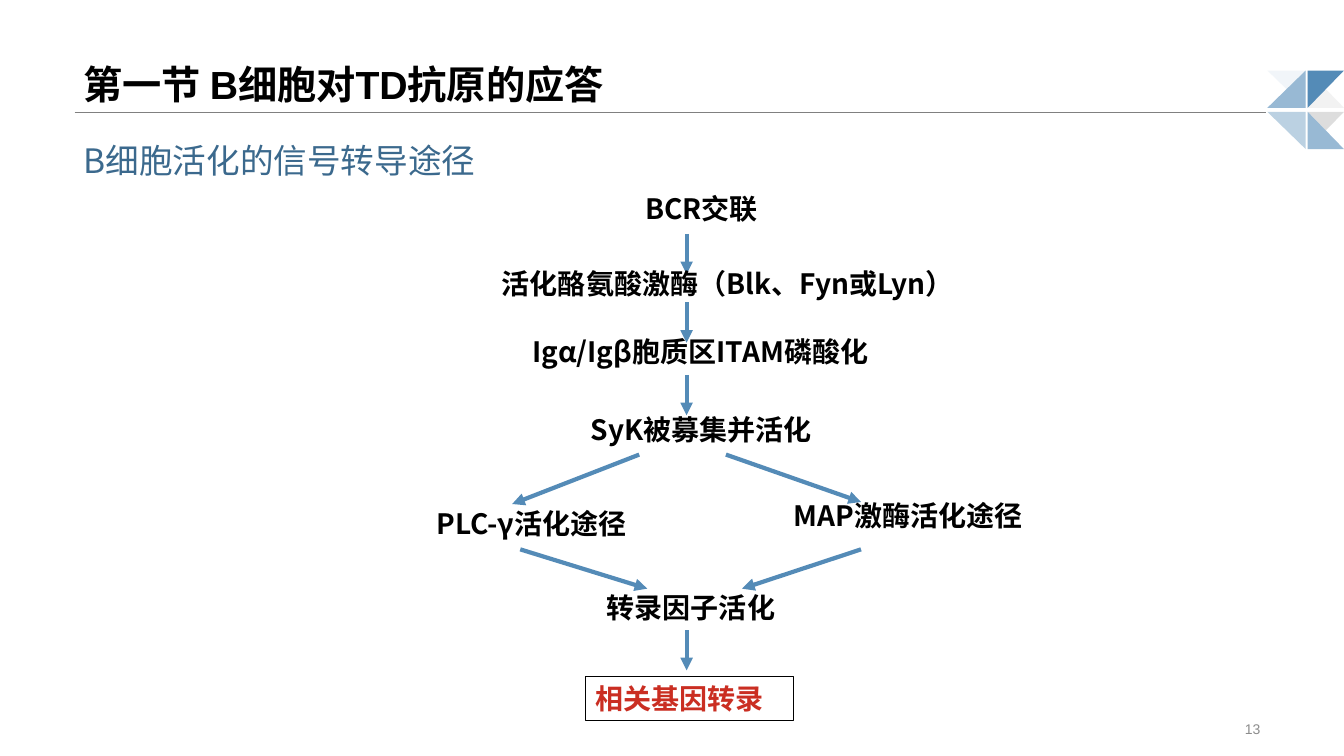
"""Build the slide on the signalling pathway of B cell activation."""
from typing import NamedTuple

from lxml import etree
from pptx import Presentation
from pptx.dml.color import RGBColor
from pptx.enum.shapes import MSO_CONNECTOR, MSO_SHAPE
from pptx.enum.text import MSO_ANCHOR, MSO_AUTO_SIZE, PP_ALIGN
from pptx.oxml.ns import qn
from pptx.util import Inches, Pt

STRAIGHT = MSO_CONNECTOR.STRAIGHT
RECTANGLE = MSO_SHAPE.RECTANGLE
TOP, MIDDLE, BOTTOM = MSO_ANCHOR.TOP, MSO_ANCHOR.MIDDLE, MSO_ANCHOR.BOTTOM
LEFT, RIGHT = PP_ALIGN.LEFT, PP_ALIGN.RIGHT
GROW, FIXED = MSO_AUTO_SIZE.SHAPE_TO_FIT_TEXT, MSO_AUTO_SIZE.NONE

SLIDE_WIDTH, SLIDE_HEIGHT = Inches(13.33), Inches(7.5)
COLUMNS, ROWS = 133.3, 75
CJK_FONT, LATIN_FONT = "Noto Sans CJK SC", "Arial"
BLACK, WHITE, BLUE, RED = "000000", "FFFFFF", "548BB7", "CA2E22"
PALE_BLUE, LIGHT_BLUE = "BBD1E2", "98B9D4"
STEP_HEIGHT = 4.4
AXIS = 68.1
ARROW_LENGTH = 4


class Step(NamedTuple):
    """A pathway step: wording and place on the grid."""
    text: str
    column: float
    row: float
    width: float


class Arrow(NamedTuple):
    """An arrow between two grid points."""
    x1: float
    y1: float
    x2: float
    y2: float


class Triangle(NamedTuple):
    """A filled corner ornament with its opacity in percent."""
    points: tuple[tuple[float, float], ...]
    fill: str
    opacity: int = 100


STEPS = (
    Step("BCR交联", 63, 18.5, 17.3),
    Step("活化酪氨酸激酶（Blk、Fyn或Lyn）", 48.8, 25.9, 64.6),
    Step("Igα/Igβ胞质区ITAM磷酸化", 51.8, 32.7, 55.9),
    Step("SyK被募集并活化", 57.6, 40.4, 34.7),
    Step("PLC-γ活化途径", 42.3, 49.8, 30.7),
    Step("MAP激酶活化途径", 77.7, 49, 36.2),
    Step("转录因子活化", 59.2, 58.1, 27.6),
)
OUTCOME = Step("相关基因转录", 58.1, 67.1, 20.6)

ARROWS = [Arrow(AXIS, row, AXIS, row + ARROW_LENGTH) for row in (23.2, 30, 37.2, 62.5)] + [
    Arrow(63.4, 45.1, 50.8, 50),
    Arrow(72, 45.1, 85.4, 49.8),
    Arrow(51.6, 54.5, 64.2, 58.4),
    Arrow(85.4, 54.5, 73.6, 58.4),
]

X1, X2, X3, X4 = 125.7, 129.5, 129.7, 133.3
Y1, Y2, Y3, Y4 = 7, 10.7, 11.1, 14.8
ORNAMENT = (
    Triangle(((X3, Y1), (X3, Y2), (X4, Y2)), "BFBFBF", 20),
    Triangle(((X2, Y1), (X1, Y1), (X2, Y2)), PALE_BLUE, 20),
    Triangle(((X4, Y1), (X3, Y1), (X3, Y2)), BLUE),
    Triangle(((X4, Y3), (X3, Y3), ((X3 + X4) / 2, (Y3 + Y4) / 2)), "595959", 20),
    Triangle(((X1, Y2), (X2, Y2), (X2, Y1)), LIGHT_BLUE),
    Triangle(((X2, Y4), (X2, Y3), (X1, Y3)), PALE_BLUE),
    Triangle(((X3, Y3), (X3, Y4), (X4, Y4)), LIGHT_BLUE),
)


def across(columns: float) -> int:
    """Turn grid columns into a length."""
    return round(SLIDE_WIDTH * columns / COLUMNS)


def down(rows: float) -> int:
    """Turn grid rows into a length."""
    return round(SLIDE_HEIGHT * rows / ROWS)


def colour(value: str) -> RGBColor:
    """Turn a hex string into a colour."""
    return RGBColor.from_string(value)


def write(shape, text: str, *, size: float = 20, font: str = CJK_FONT, ink: str = BLACK,
          bold: bool = False, align=LEFT, anchor=TOP, autosize=GROW, spacing: float = 1.0) -> None:
    """Put formatted text into a shape."""
    frame = shape.text_frame
    frame.word_wrap = True
    frame.auto_size = autosize
    frame.vertical_anchor = anchor
    paragraph = frame.paragraphs[0]
    paragraph.alignment = align
    paragraph.line_spacing = spacing
    run = paragraph.add_run()
    run.text = text
    run.font.size, run.font.name, run.font.bold = Pt(size), font, bold
    run.font.color.rgb = colour(ink)
    east_asian = etree.SubElement(run.font._element, qn("a:ea"))
    east_asian.set("typeface", CJK_FONT)


def add_label(slide, step: Step, height: float = STEP_HEIGHT, **text_format) -> None:
    """Add a text box on the grid."""
    label = slide.shapes.add_textbox(
        across(step.column), down(step.row), across(step.width), down(height))
    write(label, step.text, **text_format)


def add_line(slide, arrow: Arrow, ink: str, weight: float, head: bool = False) -> None:
    """Add a straight line, with an arrowhead at its end if asked."""
    line = slide.shapes.add_connector(
        STRAIGHT, across(arrow.x1), down(arrow.y1), across(arrow.x2), down(arrow.y2))
    line.line.color.rgb = colour(ink)
    line.line.width = Pt(weight)
    if head:
        etree.SubElement(line.line._get_or_add_ln(), qn("a:tailEnd")).set("type", "triangle")
    etree.SubElement(line._element.spPr, qn("a:effectLst"))


def add_triangle(slide, triangle: Triangle) -> None:
    """Add one triangle of the corner ornament."""
    start, *others = [(across(x), down(y)) for x, y in triangle.points]
    builder = slide.shapes.build_freeform(*start)
    builder.add_line_segments(others, close=True)
    shape = builder.convert_to_shape()
    shape.shadow.inherit = False
    shape.line.fill.background()
    shape.fill.solid()
    shape.fill.fore_color.rgb = colour(triangle.fill)
    if triangle.opacity < 100:
        tint = shape._element.spPr.find(qn("a:solidFill"))[0]
        etree.SubElement(tint, qn("a:alpha")).set("val", str(triangle.opacity * 1000))


def add_outcome(slide, step: Step) -> None:
    """Add the framed final step."""
    box = slide.shapes.add_shape(
        RECTANGLE, across(step.column), down(step.row), across(step.width), down(STEP_HEIGHT))
    box.shadow.inherit = False
    box.fill.solid()
    box.fill.fore_color.rgb = colour(WHITE)
    box.line.color.rgb = colour(BLACK)
    box.line.width = Pt(0.75)
    write(box, step.text, ink=RED, bold=True)


def main() -> None:
    """Assemble and save the slide."""
    deck = Presentation()
    deck.slide_width, deck.slide_height = SLIDE_WIDTH, SLIDE_HEIGHT
    slide = deck.slides.add_slide(deck.slide_layouts[6])
    add_line(slide, Arrow(7.4, 11.1, 125.6, 11.1), "808080", 0.25)
    for triangle in ORNAMENT:
        add_triangle(slide, triangle)
    add_label(slide, Step("第一节 B细胞对TD抗原的应答", 7.3, 0, 118.7), 11.2, size=28,
              font=LATIN_FONT, bold=True, anchor=BOTTOM, autosize=FIXED, spacing=0.9)
    add_label(slide, Step("13", 94.2, 71.2, 31.8), 2.3, size=10, font=LATIN_FONT,
              ink="8C8C8C", align=RIGHT, anchor=MIDDLE, autosize=FIXED)
    add_label(slide, Step("B细胞活化的信号转导途径", 7.3, 13.4, 55.1), 5, size=24, ink="3B698D")
    for arrow in ARROWS:
        add_line(slide, arrow, BLUE, 3, head=True)
    for step in STEPS:
        add_label(slide, step, bold=True)
    add_outcome(slide, OUTCOME)
    deck.save("out.pptx")


if __name__ == "__main__":
    main()
